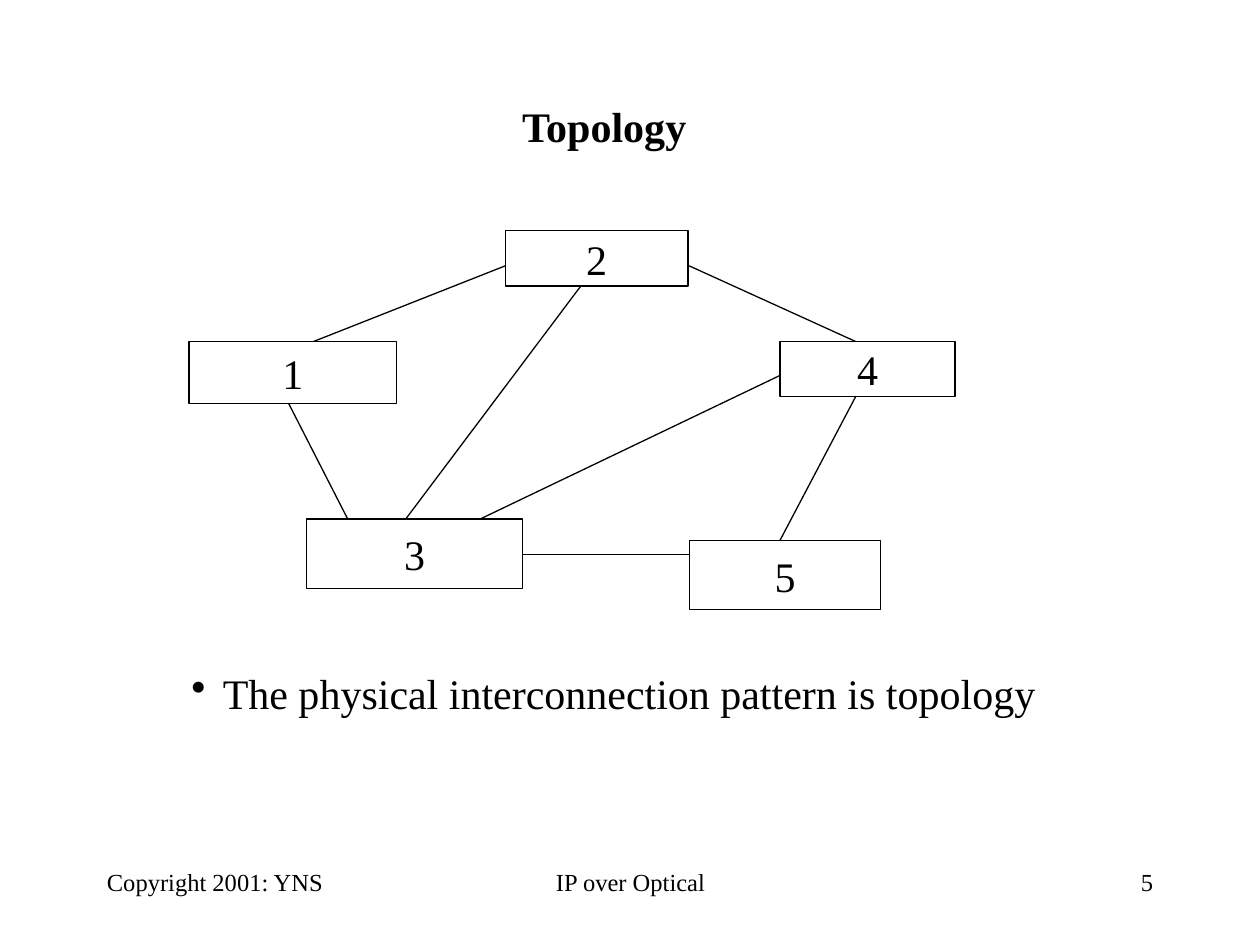
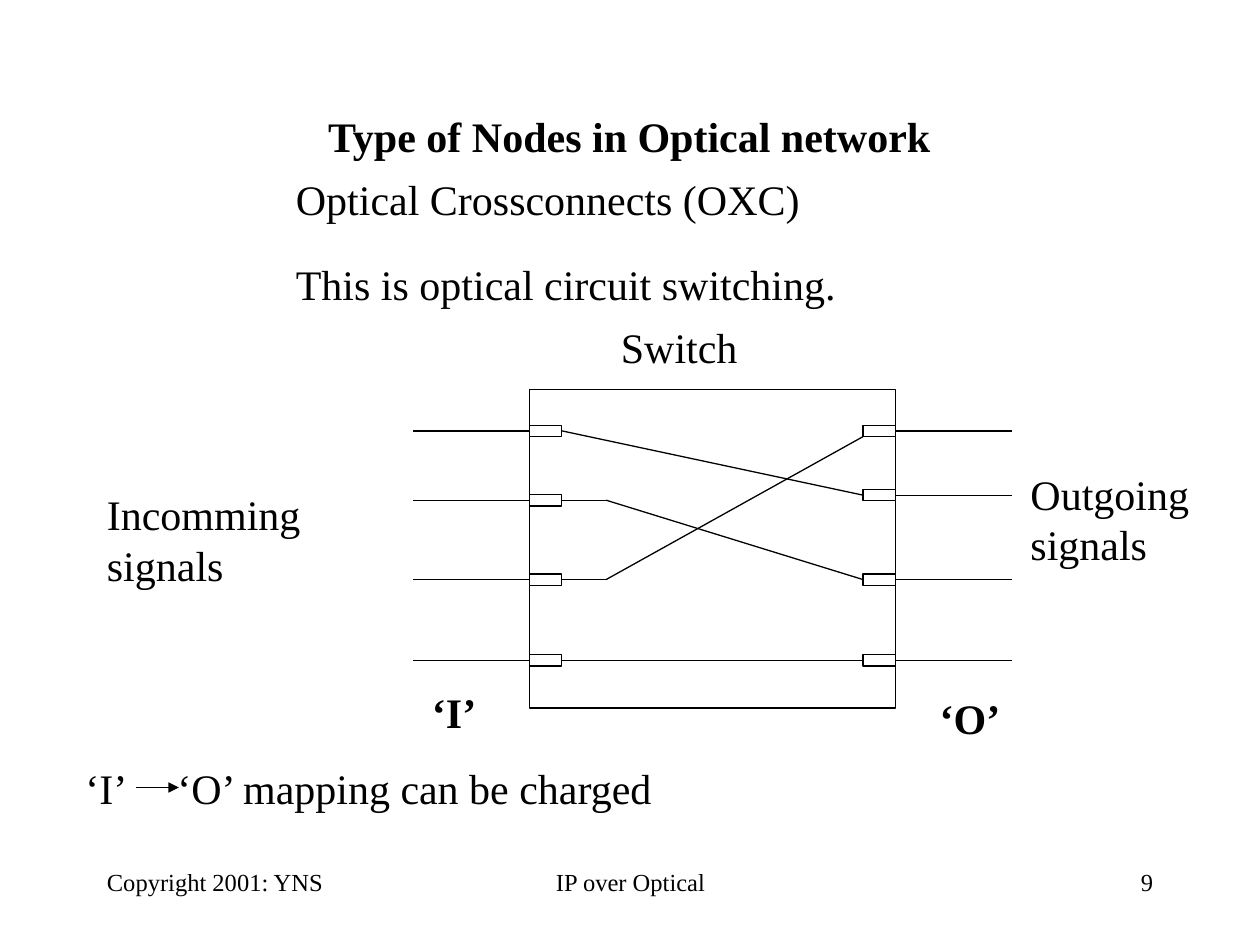
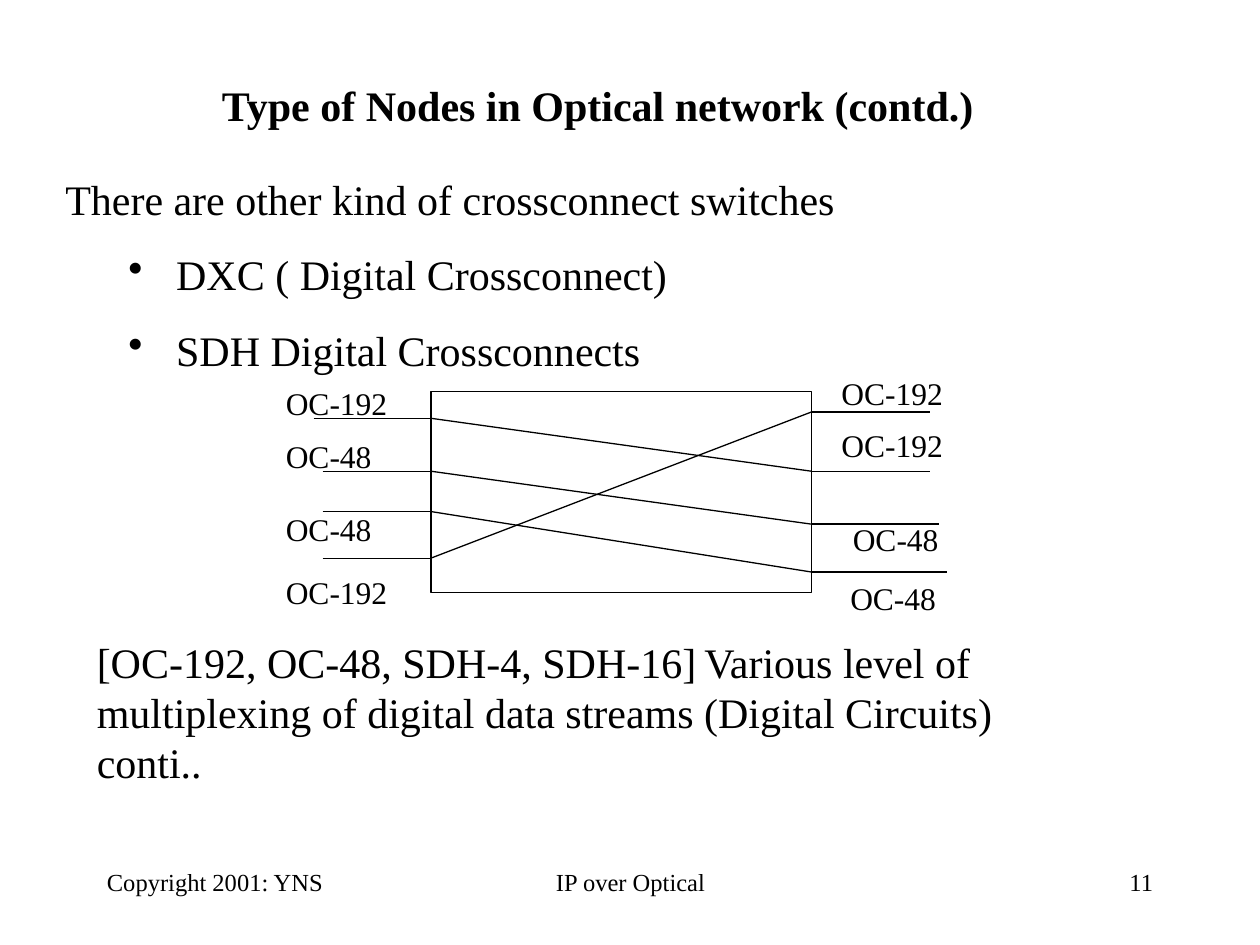
from lxml.etree import SubElement
from pptx import Presentation
from pptx.dml.color import RGBColor
from pptx.enum.shapes import MSO_CONNECTOR as Conn, MSO_SHAPE as Shape
from pptx.enum.text import MSO_ANCHOR as Anchor, PP_ALIGN as Align
from pptx.oxml.ns import qn
from pptx.util import Inches, Pt

BLACK = RGBColor(0, 0, 0)
WHITE = RGBColor(255, 255, 255)
FONT = "Times New Roman"
THIN = Pt(0.75)


def add_run(para, text, size=24, bold=False):
    """Add one styled run to a paragraph."""
    run = para.add_run()
    run.text = text
    font = run.font
    font.name, font.size, font.bold = FONT, Pt(size), bold
    font.color.rgb = BLACK


def add_text(slide, box, text="", size=24, bold=False, align=Align.LEFT):
    """Add a wrapped text box and return its first paragraph."""
    frame = slide.shapes.add_textbox(*map(Inches, box)).text_frame
    frame.word_wrap = True
    para = frame.paragraphs[0]
    para.alignment = align
    if text:
        add_run(para, text, size, bold)
    return para


def add_list(slide, box, items, indent):
    """Add a bulleted list with a hanging indent."""
    frame = add_text(slide, box)._parent
    for i, item in enumerate(items):
        para = frame.add_paragraph() if i else frame.paragraphs[0]
        para.space_before = Pt(15)
        add_run(para, item)
        props = para._p.get_or_add_pPr()
        props.set("marL", str(Inches(indent)))
        props.set("indent", str(-Inches(indent)))
        SubElement(props, qn("a:buChar")).set("char", "•")


def add_rect(slide, box, label="", alpha=None):
    """Add a white box with a thin outline and an optional label."""
    rect = slide.shapes.add_shape(Shape.RECTANGLE, *map(Inches, box))
    rect.shadow.inherit = False
    rect.fill.solid()
    rect.fill.fore_color.rgb = WHITE
    rect.line.color.rgb = BLACK
    rect.line.width = THIN
    if alpha:
        tint = rect._element.spPr.find(f"{qn('a:solidFill')}/{qn('a:srgbClr')}")
        SubElement(tint, qn("a:alpha")).set("val", str(alpha * 1000))
    if label:
        frame = rect.text_frame
        frame.word_wrap = False
        frame.vertical_anchor = Anchor.MIDDLE
        para = frame.paragraphs[0]
        para.alignment = Align.CENTER
        add_run(para, label)


def add_wire(slide, x1, y1, x2, y2, arrow=False):
    """Draw a thin straight line, with an arrowhead if asked."""
    wire = slide.shapes.add_connector(Conn.STRAIGHT, *map(Inches, (x1, y1, x2, y2)))
    wire.line.color.rgb = BLACK
    wire.line.width = THIN
    props = wire._element.spPr
    if arrow:
        SubElement(props.find(qn("a:ln")), qn("a:tailEnd")).set("type", "triangle")
    SubElement(props, qn("a:effectLst"))


def add_page(deck, title, box, number):
    """Add a blank slide with its title and footer."""
    slide = deck.slides.add_slide(deck.slide_layouts[6])
    add_text(slide, box, title, bold=True, align=Align.CENTER)
    for left, width, text, align in (
        (0.75, 2.08, "Copyright 2001: YNS", Align.LEFT),
        (3.42, 3.17, "IP over Optical", Align.CENTER),
        (7.17, 2.08, str(number), Align.RIGHT),
    ):
        add_text(slide, (left, 6.83, width, 0.5), text, 14, align=align)
    return slide


def draw_mesh(slide, x, y):
    """Draw the five linked nodes from the given corner."""
    nodes = (
        (0, 0.88, 1.65, 0.49),
        (2.51, 0, 1.45, 0.44),
        (0.93, 2.29, 1.72, 0.55),
        (4.69, 0.88, 1.39, 0.44),
        (3.97, 2.46, 1.52, 0.55),
    )
    links = (
        (0.99, 0.88, 2.51, 0.28),
        (0.79, 1.37, 1.26, 2.29),
        (2.31, 2.29, 4.69, 1.15),
        (2.65, 2.57, 3.97, 2.57),
        (1.72, 2.29, 3.11, 0.44),
        (3.97, 0.28, 5.29, 0.88),
        (5.29, 1.32, 4.69, 2.46),
    )
    for i, (dx, dy, w, h) in enumerate(nodes, 1):
        add_rect(slide, (x + dx, y + dy, w, h), str(i))
    for x1, y1, x2, y2 in links:
        add_wire(slide, x + x1, y + y1, x + x2, y + y2)


def draw_switch(slide, x, y, w, h):
    """Draw the optical switch with its ports and inner paths."""
    port, tall, lead, bend = 0.26, 0.09, 0.92, 0.61
    ins = [y + dy for dy in (0.33, 0.88, 1.51, 2.15)]
    outs = [y + dy for dy in (0.33, 0.84, 1.51, 2.15)]
    right = x + w
    add_rect(slide, (x, y, w, h), alpha=50)
    for a, b in zip(ins, outs):
        add_wire(slide, x - lead, a, x, a)
        add_wire(slide, right, b, right + lead, b)
        add_rect(slide, (x, a - tall / 2, port, tall))
        add_rect(slide, (right - port, b - tall / 2, port, tall))
    start, end = x + port, right - port
    add_wire(slide, start, ins[0], end, outs[1])
    add_wire(slide, start, ins[3], end, outs[3])
    for a, b in ((ins[1], outs[2]), (ins[2], outs[0] + tall / 2)):
        add_wire(slide, start, a, x + bend, a)
        add_wire(slide, x + bend, a, end, b)
    add_text(slide, (x + 0.63, y - 0.59, 1.64, 0.5), "Switch")
    add_text(slide, (x - 0.87, y + 2.31, 0.82, 0.5), "‘I’", bold=True)
    add_text(slide, (right + 0.25, y + 2.36, 0.7, 0.5), "‘O’", bold=True)
    add_text(slide, (x - 3.45, y + 0.74, 2.08, 0.9), "Incomming signals")
    add_text(slide, (right + 0.97, y + 0.58, 1.5, 0.9), "Outgoing signals")


def draw_note(slide, x, y):
    """Write the mapping note with an arrow in its gap."""
    para = add_text(slide, (x, y, 8.92, 0.5), "‘I’\t‘O’ mapping can be charged")
    tabs = SubElement(para._p.get_or_add_pPr(), qn("a:tabLst"))
    stop = SubElement(tabs, qn("a:tab"))
    stop.set("pos", str(Inches(0.73)))
    stop.set("algn", "l")
    add_wire(slide, x + 0.5, y + 0.25, x + 0.84, y + 0.25, arrow=True)


def draw_cross(slide, x, y, w, h):
    """Draw the digital crossconnect with labelled leads."""
    lefts = (
        (0.21, 0.93, "OC-192", -0.11),
        (0.63, 0.86, "OC-48", 0.31),
        (0.95, 0.86, "OC-48", 0.89),
        (1.32, 0.86, "OC-192", 1.39),
    )
    rights = (
        (0.16, 0.94, "OC-192", 0.14, -0.19),
        (0.63, 0.94, "OC-192", 0.14, 0.22),
        (1.05, 1.01, "OC-48", 0.23, 0.97),
        (1.43, 1.08, "OC-48", 0.21, 1.44),
    )
    right = x + w
    add_rect(slide, (x, y, w, h))
    for i, (dy, lead, name, top) in enumerate(lefts):
        add_wire(slide, x - lead, y + dy, x, y + dy)
        add_wire(slide, x, y + dy, right, y + rights[(i + 1) % 4][0])
        add_text(slide, (x - 1.25, y + top, 1.1, 0.4), name, 18)
    for dy, lead, name, dx, top in rights:
        add_wire(slide, right, y + dy, right + lead, y + dy)
        add_text(slide, (right + dx, y + top, 1.1, 0.4), name, 18)


def topology(deck):
    """Build the topology slide."""
    slide = add_page(deck, "Topology", (0.92, 0.75, 7.75, 0.5), 5)
    draw_mesh(slide, 1.5, 1.83)
    add_list(slide, (1.42, 5.25, 7.33, 0.5),
             ["The physical interconnection pattern is topology"], 0.25)


def optical(deck):
    """Build the optical crossconnect slide."""
    slide = add_page(deck, "Type of Nodes in Optical network",
                     (0.83, 0.83, 8.33, 0.5), 9)
    add_text(slide, (2.25, 1.33, 4.58, 0.5), "Optical Crossconnects (OXC)")
    add_text(slide, (2.25, 2, 5.5, 0.5), "This is optical circuit switching.")
    draw_switch(slide, 4.2, 3.09, 2.91, 2.53)
    draw_note(slide, 0.58, 6)


def digital(deck):
    """Build the digital crossconnect slide."""
    slide = add_page(deck, "Type of Nodes in Optical network (contd.)",
                     (0.58, 0.58, 8.33, 0.5), 11)
    add_text(slide, (0.42, 1.33, 7, 0.5),
             "There are other kind of crossconnect switches")
    add_list(slide, (0.92, 1.92, 8.67, 1.11),
             ["DXC ( Digital Crossconnect)", "SDH Digital Crossconnects"], 0.38)
    draw_cross(slide, 3.42, 3.11, 3.02, 1.59)
    para = add_text(slide, (0.67, 5, 8.67, 1.3), "[OC-192, OC-48, SDH-4, SDH-16]")
    add_run(para, " ", 18)
    add_run(para, "Various level of multiplexing of digital data streams (Digital Circuits)")
    para.add_line_break()
    add_run(para, "conti..")


def main():
    """Build and save the deck."""
    deck = Presentation()
    deck.slide_width, deck.slide_height = Inches(10), Inches(7.5)
    for build in (topology, optical, digital):
        build(deck)
    deck.save("out.pptx")


if __name__ == "__main__":
    main()
